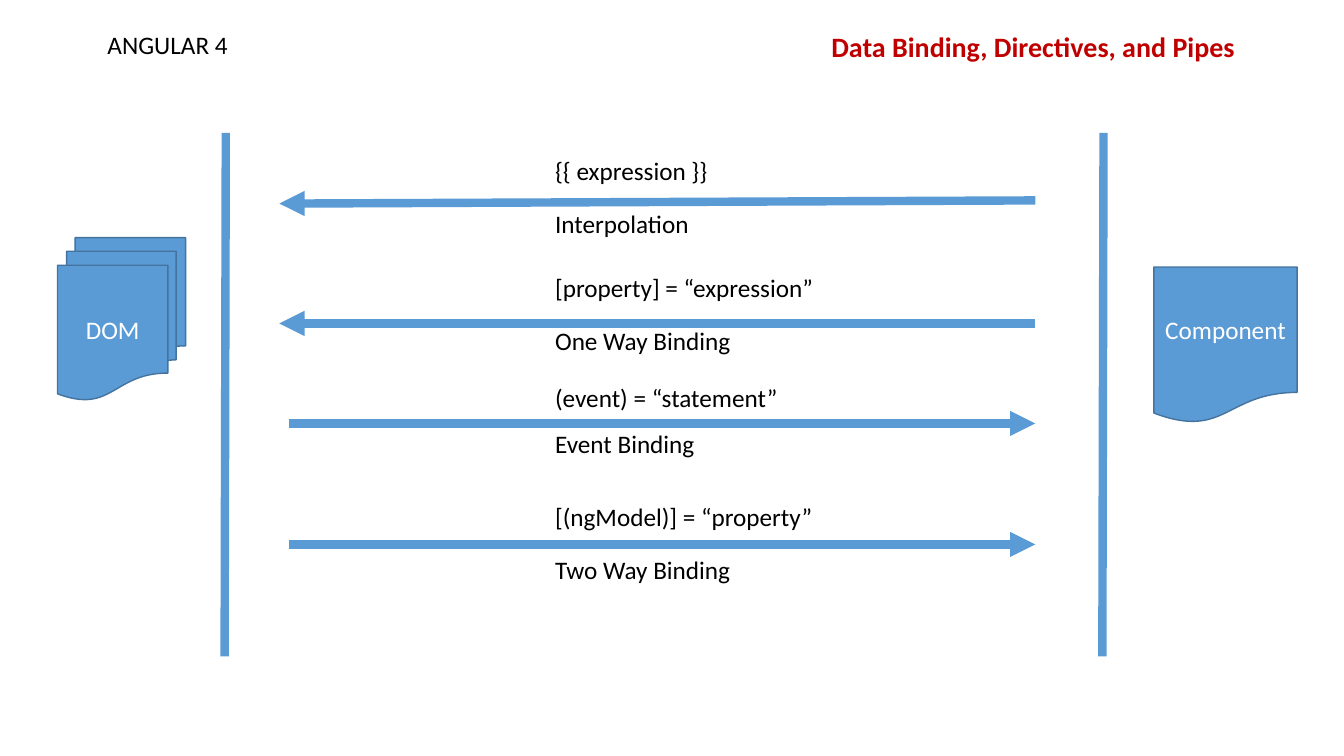
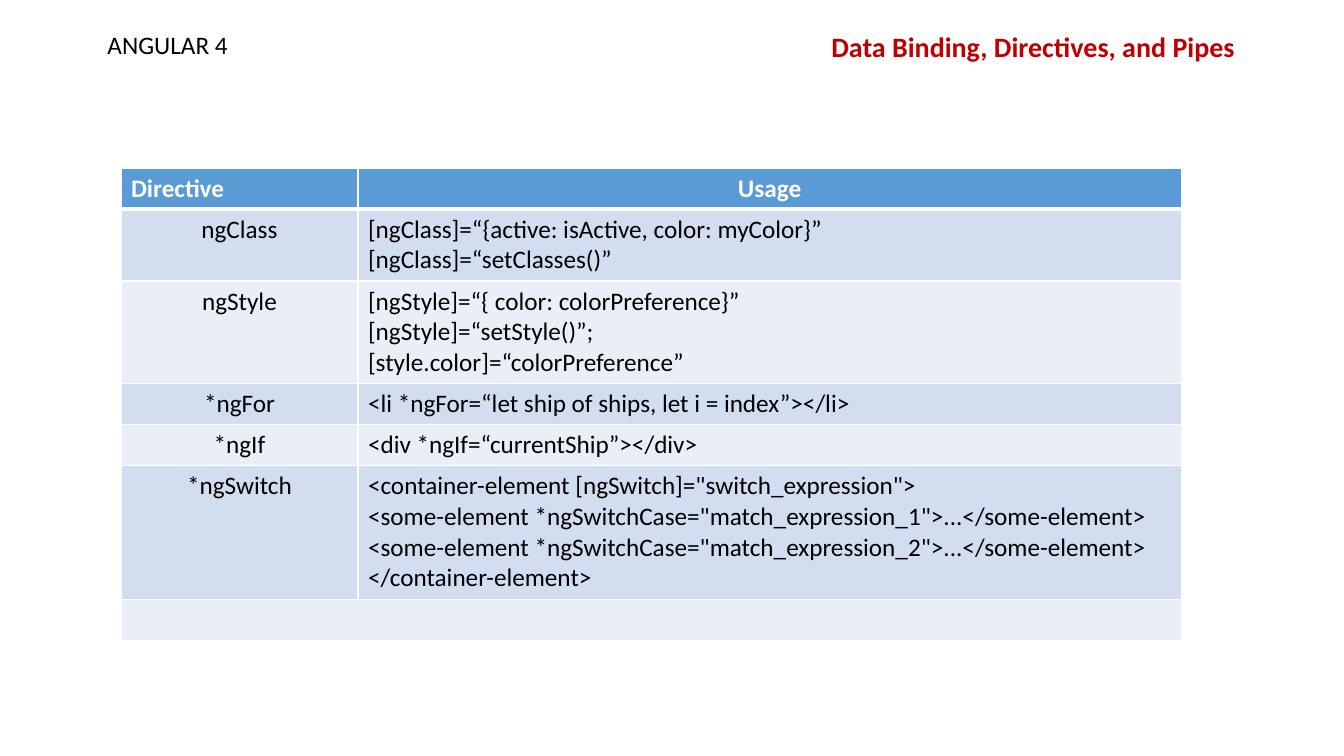
"""Build two slides on Angular data binding and directives."""
from lxml import etree
from pptx import Presentation
from pptx.dml.color import RGBColor
from pptx.enum.shapes import MSO_CONNECTOR, MSO_SHAPE
from pptx.enum.text import MSO_ANCHOR, MSO_AUTO_SIZE, PP_ALIGN
from pptx.oxml.ns import qn
from pptx.util import Cm, Pt

LEFT, CENTER = PP_ALIGN.LEFT, PP_ALIGN.CENTER
MIDDLE = MSO_ANCHOR.MIDDLE
GROW = MSO_AUTO_SIZE.SHAPE_TO_FIT_TEXT
STRAIGHT = MSO_CONNECTOR.STRAIGHT
DOCUMENT = MSO_SHAPE.FLOWCHART_DOCUMENT
MULTIDOCUMENT = MSO_SHAPE.FLOWCHART_MULTIDOCUMENT

BLUE, OUTLINE, RED = "5B9BD5", "43739E", "C00000"
BLACK, WHITE = "000000", "FFFFFF"
BANDS = ("D2DEEF", "EAEFF7")
BODY = {"name": "Calibri", "size": Pt(18), "bold": False}
TITLE = {**BODY, "size": Pt(20), "bold": True}
TABLE_HEADER = {**BODY, "bold": True}


def rgb(value):
    return RGBColor.from_string(value)


class Deck:
    """Holds the shared style and the current slide."""

    def __init__(self):
        self.presentation = Presentation()
        self.presentation.slide_width = Cm(33.87)
        self.presentation.slide_height = Cm(19.05)
        self.slide = None

    def add_slide(self):
        layout = self.presentation.slide_layouts[6]
        self.slide = self.presentation.slides.add_slide(layout)
        self.text("ANGULAR 4", 2.46, 0.61, 3.56, 1.02)
        self.text("Data Binding, Directives, and Pipes", 20.7, 0.61, 10.77, 1.12,
                  TITLE, RED, wrap=False)

    def fill_text(self, frame, lines, style=BODY, color=BLACK, align=LEFT):
        for index, line in enumerate(lines):
            paragraph = frame.paragraphs[0] if index == 0 else frame.add_paragraph()
            paragraph.alignment = align
            run = paragraph.add_run()
            run.text = line
            for attribute, value in style.items():
                setattr(run.font, attribute, value)
            run.font.color.rgb = rgb(color)

    def text(self, words, left, top, width, height=1.02, style=BODY, color=BLACK, wrap=True):
        box = self.slide.shapes.add_textbox(Cm(left), Cm(top), Cm(width), Cm(height))
        box.text_frame.word_wrap = wrap
        box.text_frame.auto_size = GROW
        self.fill_text(box.text_frame, [words], style, color)

    def document(self, kind, label, left, top, width, height):
        shape = self.slide.shapes.add_shape(kind, Cm(left), Cm(top), Cm(width), Cm(height))
        shape.shadow.inherit = False
        shape.fill.solid()
        shape.fill.fore_color.rgb = rgb(BLUE)
        shape.line.color.rgb = rgb(OUTLINE)
        shape.line.width = Pt(1)
        shape.text_frame.vertical_anchor = MIDDLE
        self.fill_text(shape.text_frame, [label], color=WHITE, align=CENTER)

    def line(self, x1, y1, x2, y2, arrow=False):
        connector = self.slide.shapes.add_connector(STRAIGHT, Cm(x1), Cm(y1), Cm(x2), Cm(y2))
        connector.line.color.rgb = rgb(BLUE)
        connector.line.width = Pt(6)
        properties = connector._element.spPr
        if arrow:
            etree.SubElement(properties.find(qn("a:ln")), qn("a:tailEnd"), type="triangle")
        etree.SubElement(properties, qn("a:effectLst"))

    def borders(self, cell, bottom):
        properties = cell._tc.get_or_add_tcPr()
        for index, (side, width) in enumerate(zip("LRTB", (1, 1, 1, bottom))):
            border = etree.Element(qn(f"a:ln{side}"), w=str(Pt(width)))
            fill = etree.SubElement(border, qn("a:solidFill"))
            etree.SubElement(fill, qn("a:srgbClr"), val=WHITE)
            properties.insert(index, border)

    def cell(self, cell, lines, fill, style, color, align, bottom):
        cell.fill.solid()
        cell.fill.fore_color.rgb = rgb(fill)
        self.borders(cell, bottom)
        self.fill_text(cell.text_frame, lines, style, color, align)

    def table(self, header, rows, left, top, widths):
        heights = [0.25 + 0.78 * max(1, len(usage)) for _, usage in [header, *rows]]
        table = self.slide.shapes.add_table(
            len(heights), len(widths), Cm(left), Cm(top),
            Cm(sum(widths)), Cm(sum(heights))).table
        for column, width in zip(table.columns, widths):
            column.width = Cm(width)
        for row, height in zip(table.rows, heights):
            row.height = Cm(height)
        for column, (lines, align) in enumerate(zip(header, (LEFT, CENTER))):
            self.cell(table.cell(0, column), lines, BLUE, TABLE_HEADER, WHITE, align, 3)
        for number, row in enumerate(rows, 1):
            band = BANDS[(number - 1) % 2]
            for column, (lines, align) in enumerate(zip(row, (CENTER, LEFT))):
                self.cell(table.cell(number, column), lines, band, BODY, BLACK, align, 1)
        return table


BINDINGS = [
    ("{{ expression }}", 3.78, 4.45, "Interpolation", 5.13, 4.45, (26.09, 5.05, 7.04, 5.13)),
    ("[property] = “expression”", 6.73, 7.19, "One Way Binding", 8.08, 6.68,
     (26.09, 8.15, 7.04, 8.15)),
    ("(event) = “statement”", 9.5, 7.19, "Event Binding", 10.67, 4.45,
     (7.29, 10.67, 26.09, 10.67)),
    ("[(ngModel)] = “property”", 12.52, 7.19, "Two Way Binding", 13.84, 6.68,
     (7.29, 13.72, 26.09, 13.72)),
]
DIRECTIVES = [
    (["ngClass"], ["[ngClass]=“{active: isActive, color: myColor}”",
                   "[ngClass]=“setClasses()”"]),
    (["ngStyle"], ["[ngStyle]=“{ color: colorPreference}”",
                   "[ngStyle]=“setStyle()”;",
                   "[style.color]=“colorPreference”"]),
    (["*ngFor"], ["<li *ngFor=“let ship of ships, let i = index”></li>"]),
    (["*ngIf"], ["<div *ngIf=“currentShip”></div>"]),
    (["*ngSwitch"], ['<container-element [ngSwitch]="switch_expression">',
                     '<some-element *ngSwitchCase="match_expression_1">...</some-element>',
                     '<some-element *ngSwitchCase="match_expression_2">...</some-element>',
                     "</container-element>"]),
    ([], []),
]

deck = Deck()

deck.add_slide()
for boundary in (5.69, 27.81):
    deck.line(boundary, 3.35, boundary - 0.03, 16.54)
deck.document(MULTIDOCUMENT, "DOM", 1.45, 5.99, 3.23, 4.09)
deck.document(DOCUMENT, "Component", 29.08, 6.73, 3.61, 3.94)
for code, code_top, code_width, name, name_top, name_width, arrow in BINDINGS:
    deck.line(*arrow, arrow=True)
    deck.text(code, 13.74, code_top, code_width)
    deck.text(name, 13.74, name_top, name_width)

deck.add_slide()
directives = deck.table((["Directive"], ["Usage"]), DIRECTIVES, 3.05, 4.24, (5.97, 20.75))
last = len(DIRECTIVES)
directives.cell(last, 0).merge(directives.cell(last, 1))

deck.presentation.save("out.pptx")
